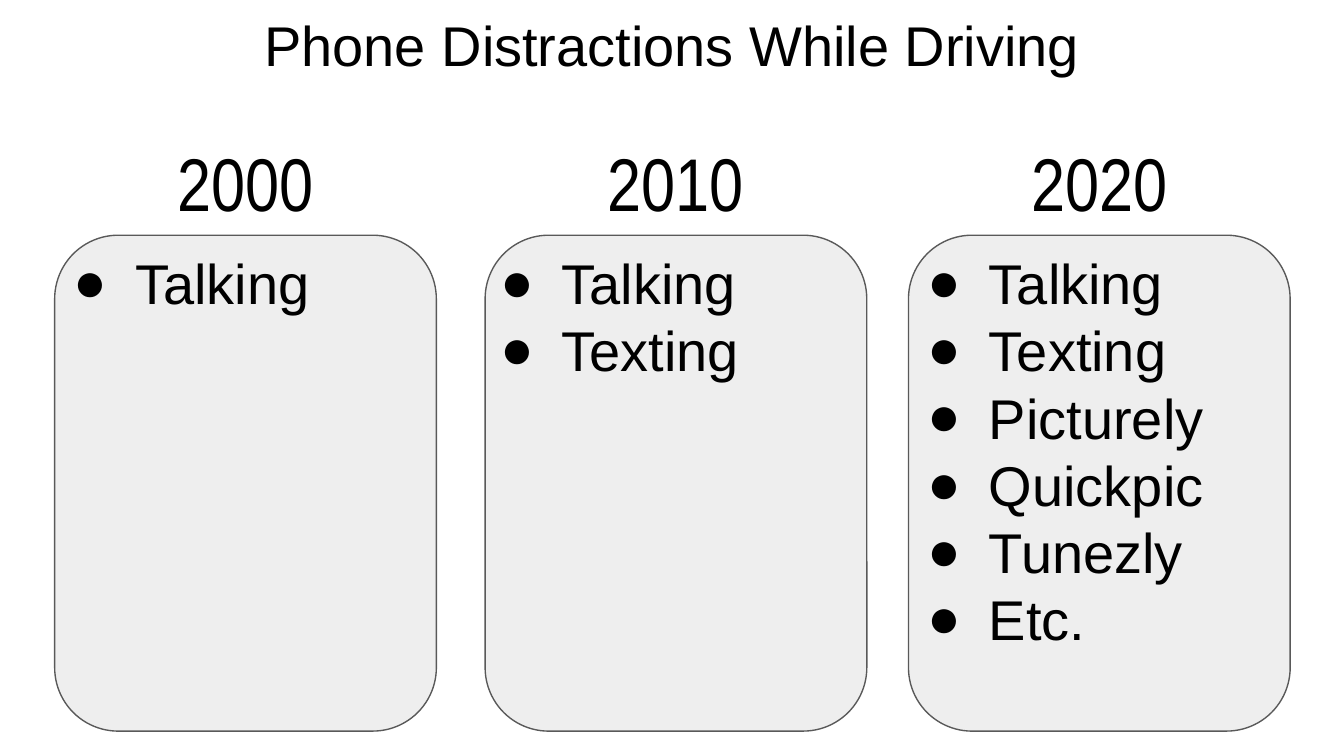
from lxml import etree
from pptx import Presentation
from pptx.dml.color import RGBColor
from pptx.enum.shapes import MSO_SHAPE
from pptx.enum.text import MSO_ANCHOR, MSO_AUTO_SIZE, PP_ALIGN
from pptx.oxml.ns import qn
from pptx.util import Pt

ROUNDED = MSO_SHAPE.ROUNDED_RECTANGLE
TOP, MIDDLE = MSO_ANCHOR.TOP, MSO_ANCHOR.MIDDLE
LEFT, CENTER = PP_ALIGN.LEFT, PP_ALIGN.CENTER
NO_AUTOFIT = MSO_AUTO_SIZE.NONE

COLORS = {"text": "000000", "card": "EEEEEE", "outline": "595959"}
CARD_TOP, CARD_WIDTH, CARD_HEIGHT = 126, 204.5, 265.7
YEAR_TOP, YEAR_WIDTH, YEAR_HEIGHT = 69.1, 146.9, 56.2

# year, left of the card, left of the list, distractions
DECADES = [
    ("2000", 29.3, 29.3, ["Talking"]),
    ("2010", 259.9, 257.8, ["Talking", "Texting"]),
    ("2020", 486.7, 486.7,
     ["Talking", "Texting", "Picturely", "Quickpic", "Tunezly", "Etc."]),
]


def color(name):
    return RGBColor.from_string(COLORS[name])


def write(box, lines, size=30, font="Arial", align=CENTER, anchor=MIDDLE,
          bullet=None, spacing=None):
    """Fill a text box or placeholder with one paragraph per line."""
    frame = box.text_frame
    frame.word_wrap = True
    frame.auto_size = NO_AUTOFIT
    frame.vertical_anchor = anchor
    frame.margin_left = frame.margin_right = Pt(7.2)
    frame.margin_top = frame.margin_bottom = Pt(7.2)
    for i, line in enumerate(lines):
        paragraph = frame.add_paragraph() if i else frame.paragraphs[0]
        paragraph.alignment = align
        if spacing:
            paragraph.line_spacing = Pt(spacing)
        if bullet:
            props = paragraph._p.get_or_add_pPr()
            props.set("marL", str(Pt(36)))
            props.set("indent", str(-Pt(33)))
            bullet_color = etree.SubElement(props, qn("a:buClr"))
            etree.SubElement(bullet_color, qn("a:srgbClr"), val=COLORS["text"])
            etree.SubElement(props, qn("a:buFont"), typeface=font)
            etree.SubElement(props, qn("a:buChar"), char=bullet)
        run = paragraph.add_run()
        run.text = line
        run.font.size = Pt(size)
        run.font.name = font
        run.font.color.rgb = color("text")


prs = Presentation()
prs.slide_width, prs.slide_height = Pt(720), Pt(405)
slide = prs.slides.add_slide(prs.slide_layouts[5])

title = slide.shapes.title
title.left, title.top, title.width, title.height = Pt(83.5), Pt(4.3), Pt(553), Pt(38.9)
write(title, ["Phone Distractions While Driving"])

for year, card_left, list_left, distractions in DECADES:
    card = slide.shapes.add_shape(
        ROUNDED, Pt(card_left), Pt(CARD_TOP), Pt(CARD_WIDTH), Pt(CARD_HEIGHT))
    card.shadow.inherit = False
    card.fill.solid()
    card.fill.fore_color.rgb = color("card")
    card.line.color.rgb = color("outline")
    card.line.width = Pt(0.75)

    year_left = card_left + (CARD_WIDTH - YEAR_WIDTH) / 2
    heading = slide.shapes.add_textbox(
        Pt(year_left), Pt(YEAR_TOP), Pt(YEAR_WIDTH), Pt(YEAR_HEIGHT))
    write(heading, [year], size=40, font="Arial Narrow")

    distraction_list = slide.shapes.add_textbox(
        Pt(list_left), Pt(CARD_TOP), Pt(CARD_WIDTH), Pt(CARD_HEIGHT))
    write(distraction_list, distractions, align=LEFT, anchor=TOP, bullet="●", spacing=36)

prs.save("out.pptx")
